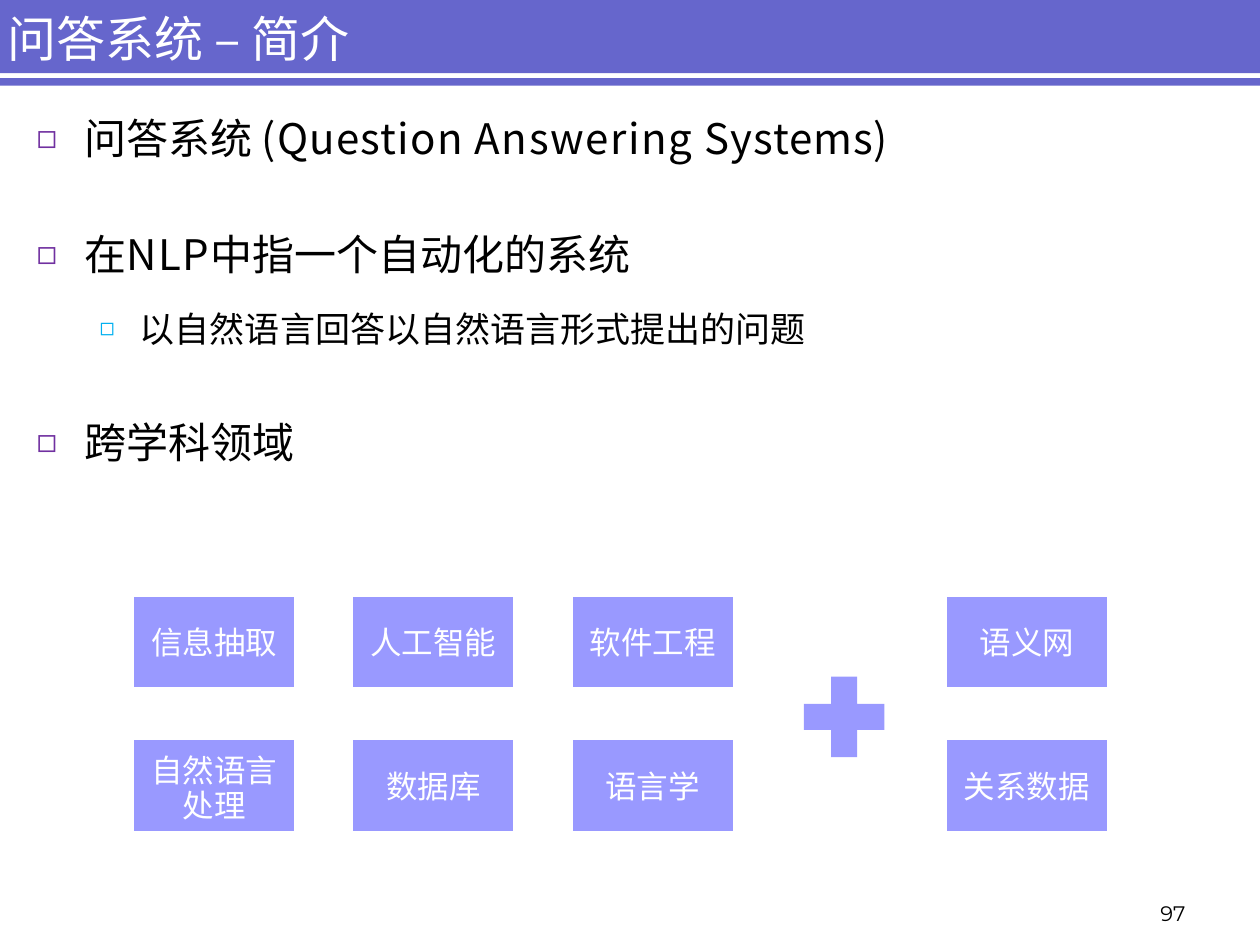
from lxml.etree import SubElement
from pptx import Presentation
from pptx.dml.color import RGBColor
from pptx.enum.shapes import MSO_CONNECTOR, MSO_SHAPE
from pptx.enum.text import MSO_ANCHOR, MSO_AUTO_SIZE, PP_ALIGN
from pptx.oxml.ns import qn
from pptx.util import Inches, Pt

WHITE = RGBColor(0xFF, 0xFF, 0xFF)
BLACK = RGBColor(0, 0, 0)
INDIGO = RGBColor(0x66, 0x66, 0xCC)
LILAC = RGBColor(0x99, 0x99, 0xFF)
PURPLE = RGBColor(0x70, 0x30, 0xA0)
SKY = RGBColor(0x00, 0xB0, 0xF0)
CJK, LATO, MONT = "Noto Sans CJK JP", "Lato", "Montserrat"

POINTS = [
    (0, 0, [("问答系统 ", 0), ("(Question ", 0.7), ("Answering ", 0.9), ("Systems)", 0.5)]),
    (0, 36.3, [("在", 0), ("NLP", 0.8), ("中指一个自动化的系统", 0)]),
    (1, 15, [("以自然语言回答以自然语言形式提出的问题", 0)]),
    (0, 37.4, [("跨学科领域", 0)]),
]
LEVELS = [(0.39, -0.38, PURPLE, 79, 24, 30, CJK), (0.83, -0.32, SKY, 70, 20, 25, LATO)]
FIELDS = [
    (1.03, "信息抽取", "自然语言 处理"),
    (2.77, "人工智能", "数据库"),
    (4.51, "软件工程", "语言学"),
    (7.48, "语义网", "关系数据"),
]


class Deck:
    """Holds the style and the current slide, and draws each kind of element."""

    def __init__(self):
        self.prs = Presentation()
        self.prs.slide_width, self.prs.slide_height = Inches(10), Inches(7.5)
        self.slide = self.prs.slides.add_slide(self.prs.slide_layouts[1])
        self.shapes = self.slide.shapes

    def place(self, shape, left, top, width, height):
        shape.left, shape.top = Inches(left), Inches(top)
        shape.width, shape.height = Inches(width), Inches(height)

    def frame(self, shape, anchor=MSO_ANCHOR.TOP, side=0, top=0):
        frame = shape.text_frame
        frame.word_wrap = True
        frame.auto_size = MSO_AUTO_SIZE.NONE
        frame.vertical_anchor = anchor
        frame.margin_left = frame.margin_right = Inches(side)
        frame.margin_top, frame.margin_bottom = Inches(top), 0
        return frame

    def run(self, para, text, size, color, face=CJK, gap=0):
        run = para.add_run()
        run.text = text
        run.font.size, run.font.name = Pt(size), face
        run.font.color.rgb = color
        props = run.font._element
        if gap:
            props.set("spc", str(round(gap * 100)))
        SubElement(props, qn("a:ea")).set("typeface", face)

    def shape(self, kind, left, top, width, height, fill):
        shape = self.shapes.add_shape(
            kind, Inches(left), Inches(top), Inches(width), Inches(height))
        shape.shadow.inherit = False
        shape.fill.solid()
        shape.fill.fore_color.rgb = fill
        shape.line.fill.background()
        return shape

    def title(self, text):
        title = self.shapes.title
        self.place(title, 0, 0, 10, 0.58)
        title.fill.solid()
        title.fill.fore_color.rgb = INDIGO
        para = self.frame(title, side=0.06, top=0.06).paragraphs[0]
        para.alignment, para.line_spacing = PP_ALIGN.LEFT, Pt(34)
        self.run(para, text, 28, WHITE)
        band = self.shape(MSO_SHAPE.RECTANGLE, 0, 0, 10, 0.68, INDIGO)
        rule = self.shapes.add_connector(
            MSO_CONNECTOR.STRAIGHT, 0, Inches(0.6), Inches(10), Inches(0.6))
        rule.line.color.rgb, rule.line.width = WHITE, Pt(3)
        SubElement(rule._element.spPr, qn("a:effectLst"))
        for item in (band, rule):
            title._element.addprevious(item._element)

    def bullet(self, para, level):
        left, indent, color, scale = LEVELS[level][:4]
        props = para._p.get_or_add_pPr()
        props.set("marL", str(Inches(left)))
        props.set("indent", str(Inches(indent)))
        tint = SubElement(props, qn("a:buClr"))
        SubElement(tint, qn("a:srgbClr")).set("val", str(color))
        SubElement(props, qn("a:buSzPct")).set("val", str(scale * 1000))
        SubElement(props, qn("a:buChar")).set("char", "◻")

    def body(self, points):
        body = self.slide.placeholders[1]
        self.place(body, 0.28, 0.86, 6.99, 3.5)
        frame = self.frame(body, top=0.02)
        for i, (level, space, runs) in enumerate(points):
            para = frame.add_paragraph() if i else frame.paragraphs[0]
            size, pitch, face = LEVELS[level][4:]
            para.level = level
            self.bullet(para, level)
            para.alignment = PP_ALIGN.LEFT
            para.line_spacing, para.space_before = Pt(pitch), Pt(space)
            for text, gap in runs:
                self.run(para, text, size, BLACK, face, gap)

    def box(self, left, top, text):
        box = self.shape(MSO_SHAPE.RECTANGLE, left, top, 1.34, 0.79, LILAC)
        box.line.color.rgb, box.line.width = WHITE, Pt(5)
        split = " " in text
        frame = self.frame(box, MSO_ANCHOR.MIDDLE, 0.14, 0.05 if split else 0)
        para = frame.paragraphs[0]
        para.alignment = PP_ALIGN.CENTER
        if split:
            para.line_spacing = Pt(20)
        self.run(para, text, 18, WHITE)

    def plus(self):
        plus = self.shape(MSO_SHAPE.CROSS, 6.38, 5.37, 0.64, 0.64, LILAC)
        plus.adjustments[0] = 0.34

    def number(self, text):
        note = self.shapes.add_textbox(
            Inches(9.17), Inches(7.12), Inches(0.42), Inches(0.26))
        para = self.frame(note, side=0.04, top=0.03).paragraphs[0]
        self.run(para, text, 12, BLACK, MONT)


def main():
    deck = Deck()
    deck.title("问答系统 – 简介")
    deck.body(POINTS)
    for left, *names in FIELDS:
        for top, name in zip((4.7, 5.84), names):
            deck.box(left, top, name)
    deck.plus()
    deck.number("97")
    deck.prs.save("out.pptx")


if __name__ == "__main__":
    main()
